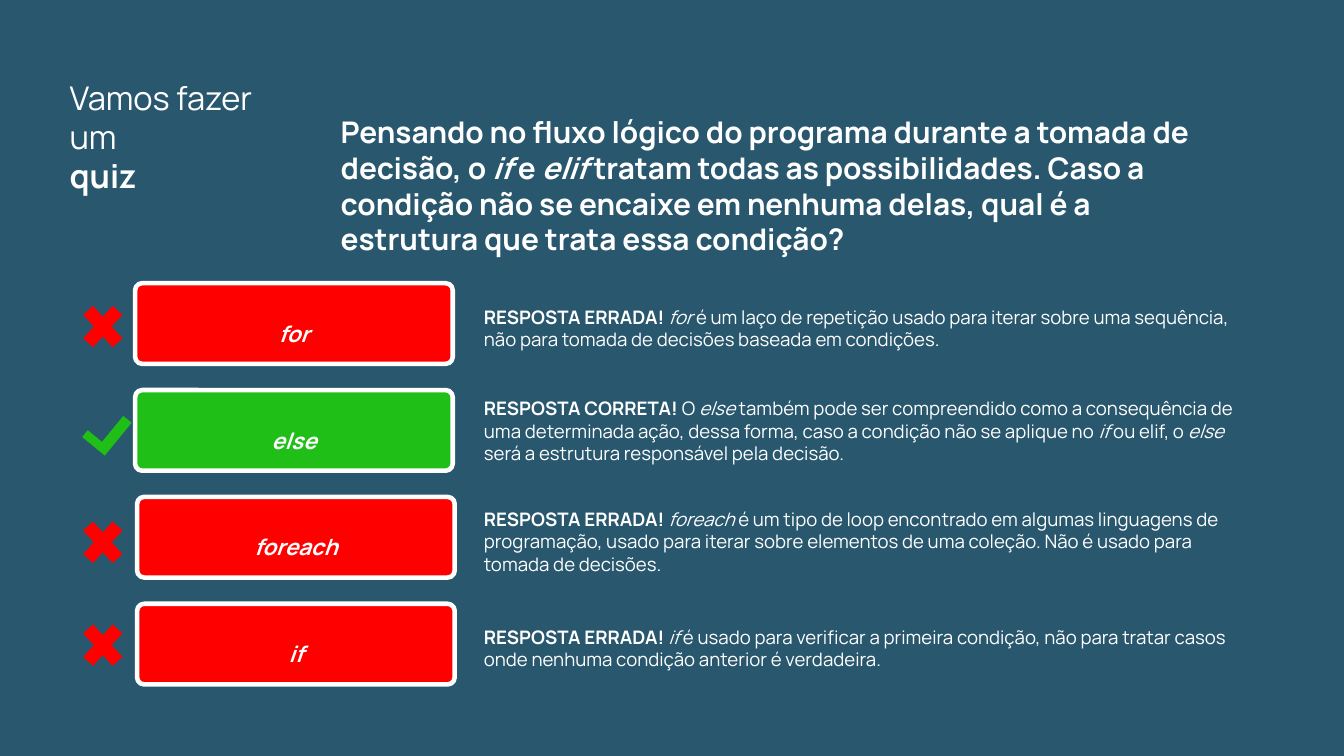
from dataclasses import dataclass

from pptx import Presentation
from pptx import util as u
from pptx.dml.color import RGBColor
from pptx.enum import shapes, text

BACKGROUND = RGBColor(0x28, 0x57, 0x6E)
WHITE = RGBColor(0xFF, 0xFF, 0xFF)
RED = RGBColor(0xFF, 0x00, 0x00)
GREEN = RGBColor(0x1F, 0xBF, 0x17)
FONT = "Manrope"

BUTTON_TOP, BUTTON_PITCH = 2.81, 1.06
BUTTON_WIDTH, BUTTON_HEIGHT, BUTTON_RADIUS = 3.15, 0.8, 0.07
NOTE_LEFT, NOTE_WIDTH = 4.8, 7.67


@dataclass
class Answer:
    label: str
    correct: bool
    left: float
    mark_top: float
    note_top: float
    note_height: float
    note: str  # asterisks enclose italics

    @property
    def color(self) -> RGBColor:
        return GREEN if self.correct else RED

    @property
    def verdict(self) -> str:
        return "RESPOSTA CORRETA! " if self.correct else "RESPOSTA ERRADA! "


QUESTION = (
    "Pensando no fluxo lógico do programa durante a tomada de decisão, o *if* e *elif *"
    "tratam todas as possibilidades. Caso a condição não se encaixe em nenhuma delas, "
    "qual é a estrutura que trata essa condição?"
)
ANSWERS = [
    Answer("for", False, 1.34, 2.93, 3.03, 0.45,
           "*for* é um laço de repetição usado para iterar sobre uma sequência, "
           "não para tomada de decisões baseada em condições."),
    Answer("else", True, 1.34, 4.12, 3.94, 0.67,
           "O *else* também pode ser compreendido como a consequência de uma "
           "determinada ação, dessa forma, caso a condição não se aplique no *if* "
           "ou elif, o *else* será a estrutura responsável pela decisão."),
    Answer("foreach", False, 1.36, 5.07, 5.04, 0.67,
           "*foreach* é um tipo de loop encontrado em algumas linguagens de "
           "programação, usado para iterar sobre elementos de uma coleção. "
           "Não é usado para tomada de decisões."),
    Answer("if", False, 1.36, 6.09, 6.21, 0.45,
           "*if *é usado para verificar a primeira condição, não para tratar casos "
           "onde nenhuma condição anterior é verdadeira."),
]


def prepare_frame(frame, side: float = 0, top: float = 0) -> None:
    frame.word_wrap = True
    frame.auto_size = text.MSO_AUTO_SIZE.NONE
    frame.vertical_anchor = text.MSO_ANCHOR.TOP
    frame.margin_left = frame.margin_right = u.Inches(side)
    frame.margin_top = u.Inches(top)
    frame.margin_bottom = 0


def style_para(para, size: float, align=text.PP_ALIGN.LEFT) -> None:
    para.alignment = align
    para.font.name = FONT
    para.font.size = u.Pt(size)
    para.font.color.rgb = WHITE


def add_spans(para, marked: str, bold: bool) -> None:
    for index, piece in enumerate(marked.split("*")):
        if piece:
            span = para.add_run()
            span.text = piece
            span.font.bold = bold
            span.font.italic = index % 2 == 1


def add_box(page, left: float, top: float, width: float, height: float):
    return page.shapes.add_textbox(*map(u.Inches, (left, top, width, height)))


def add_filled(page, kind, left: float, top: float, width: float, height: float,
               color: RGBColor):
    shape = page.shapes.add_shape(kind, *map(u.Inches, (left, top, width, height)))
    shape.shadow.inherit = False
    shape.fill.solid()
    shape.fill.fore_color.rgb = color
    shape.line.fill.background()
    return shape


def add_title(page) -> None:
    title = page.shapes.title
    title.left, title.top, title.width, title.height = map(
        u.Inches, (0.69, 0.77, 1.88, 1.18))
    frame = title.text_frame
    prepare_frame(frame)
    frame.text = "Vamos fazer um\nquiz"
    for para in frame.paragraphs:
        style_para(para, 23.3)
    frame.paragraphs[1].font.bold = True


def add_question(page) -> None:
    frame = add_box(page, 3.31, 1.1, 8.86, 1.2).text_frame
    prepare_frame(frame, side=0.07, top=0.03)
    para = frame.paragraphs[0]
    add_spans(para, QUESTION, bold=True)
    style_para(para, 21.3)


def add_button(page, answer: Answer, top: float) -> None:
    button = add_filled(page, shapes.MSO_SHAPE.ROUNDED_RECTANGLE, answer.left, top,
                        BUTTON_WIDTH, BUTTON_HEIGHT, answer.color)
    button.adjustments[0] = BUTTON_RADIUS / BUTTON_HEIGHT
    button.line.color.rgb = WHITE
    button.line.width = u.Pt(3.25)
    prepare_frame(button.text_frame, top=0.13)
    para = button.text_frame.paragraphs[0]
    para.text = answer.label
    para.line_spacing = 1.8
    style_para(para, 16, text.PP_ALIGN.CENTER)
    para.font.bold = para.font.italic = True


def add_mark(page, answer: Answer) -> None:
    if answer.correct:
        mark = add_filled(page, shapes.MSO_SHAPE.CORNER, 0.85, answer.mark_top,
                          0.42, 0.29, answer.color)
        mark.adjustments[0], mark.adjustments[1] = 0.37, 0.3
        mark.rotation = 309.3
    else:
        mark = add_filled(page, shapes.MSO_SHAPE.MATH_MULTIPLY, 0.74, answer.mark_top,
                          0.56, 0.62, answer.color)
        mark.adjustments[0] = 0.235


def add_note(page, answer: Answer) -> None:
    box = add_box(page, NOTE_LEFT, answer.note_top, NOTE_WIDTH, answer.note_height)
    prepare_frame(box.text_frame)
    para = box.text_frame.paragraphs[0]
    add_spans(para, answer.verdict, bold=True)
    add_spans(para, answer.note, bold=False)
    style_para(para, 13.3)


def main() -> None:
    deck = Presentation()
    deck.slide_width, deck.slide_height = u.Inches(13.33), u.Inches(7.5)
    page = deck.slides.add_slide(deck.slide_layouts.get_by_name("Title Only"))
    page.background.fill.solid()
    page.background.fill.fore_color.rgb = BACKGROUND

    # Heading and question
    add_title(page)
    add_question(page)

    # Answers with their marks and explanations
    for row, answer in enumerate(ANSWERS):
        add_button(page, answer, BUTTON_TOP + row * BUTTON_PITCH)
        add_mark(page, answer)
        add_note(page, answer)

    deck.save("out.pptx")


if __name__ == "__main__":
    main()
